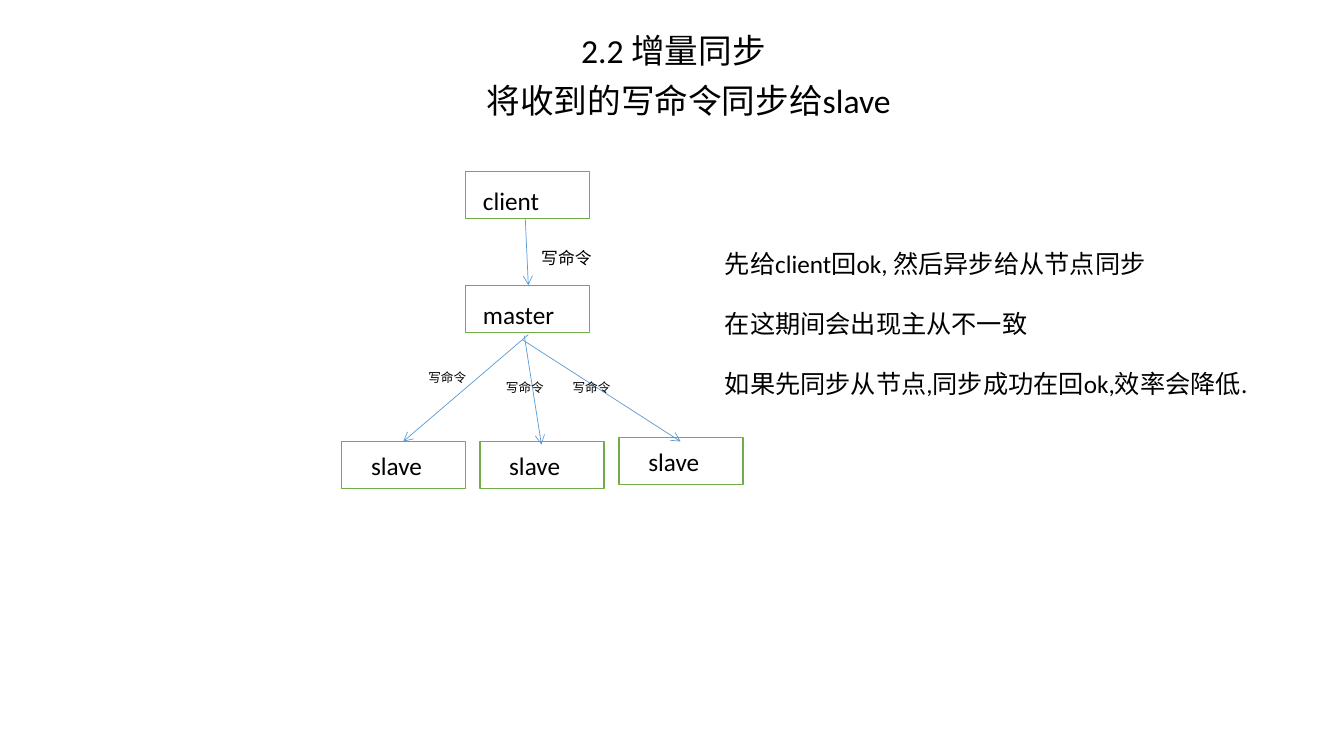
from pptx import Presentation
from pptx.dml.color import RGBColor
from pptx.enum import shapes, text
from pptx.oxml import ns
from pptx.util import Inches, Pt
from lxml import etree

BLACK = RGBColor(0, 0, 0)
WHITE = RGBColor(255, 255, 255)
GREEN = RGBColor(0x70, 0xAD, 0x47)
BLUE = RGBColor(0x5B, 0x9B, 0xD5)
FONT = "Calibri"
BOX_W, BOX_H = 1.23, 0.47

HEADS = [("2.2 增量同步", 0.3), ("将收到的写命令同步给slave", 0.6)]
NODES = [
    ("client", 4.62, 1.7, 0.17, 0.1),
    ("master", 4.62, 2.83, 0.17, 0.1),
    ("slave", 3.39, 4.38, 0.29, 0),
    ("slave", 4.76, 4.38, 0.29, 0),
    ("slave", 6.14, 4.34, 0.29, 0),
]
ARROWS = [
    (5.21, 2.17, 5.24, 2.83),
    (5.24, 3.32, 4, 4.38),
    (5.2, 3.33, 5.37, 4.41),
    (5.18, 3.37, 6.75, 4.38),
]
LABEL = "写命令"
LABELS = [
    (5.27, 2.41, 0.87, 0.3, 12),
    (4.15, 3.62, 0.61, 0.25, 9),
    (4.92, 3.72, 0.61, 0.25, 9),
    (5.58, 3.72, 0.61, 0.25, 9),
]
NOTES = [
    "先给client回ok, 然后异步给从节点同步",
    "在这期间会出现主从不一致",
    "如果先同步从节点,同步成功在回ok,效率会降低.",
]


def style(para, size):
    para.font.name = FONT
    para.font.size = Pt(size)
    para.font.color.rgb = BLACK


def fill_text(frame, lines, size, gap=0):
    frame.word_wrap = True
    for i, line in enumerate(lines):
        para = frame.add_paragraph() if i else frame.paragraphs[0]
        para.text = line
        para.alignment = text.PP_ALIGN.LEFT
        para.space_after = Pt(gap)
        style(para, size)


def add_text(slide, x, y, w, h, lines, size, gap=0):
    box = slide.shapes.add_textbox(*map(Inches, (x, y, w, h)))
    fill_text(box.text_frame, lines, size, gap)


def add_head(slide):
    body = slide.placeholders[1]
    body.left, body.top, body.width, body.height = map(Inches, (1.53, 0.29, 10, 1.81))
    frame = body.text_frame
    fill_text(frame, [line for line, _ in HEADS], 24)
    for para, (_, shift) in zip(frame.paragraphs, HEADS):
        para.alignment = text.PP_ALIGN.CENTER
        para.line_spacing = 0.9
        para.space_before = Pt(10)
        props = para._p.get_or_add_pPr()
        props.set("marL", str(Inches(shift)))
        props.set("indent", "0")
        etree.SubElement(props, ns.qn("a:buNone"))


def add_node(slide, name, x, y, inset, drop):
    box = slide.shapes.add_shape(
        shapes.MSO_SHAPE.RECTANGLE, *map(Inches, (x, y, BOX_W, BOX_H)))
    box.shadow.inherit = False
    box.fill.solid()
    box.fill.fore_color.rgb = WHITE
    box.line.color.rgb = GREEN
    box.line.width = Pt(1)
    frame = box.text_frame
    frame.margin_left, frame.margin_top = Inches(inset), Inches(drop)
    frame.margin_right = frame.margin_bottom = 0
    frame.vertical_anchor = text.MSO_ANCHOR.MIDDLE
    fill_text(frame, [name], 18)


def add_arrow(slide, *ends):
    arrow = slide.shapes.add_connector(
        shapes.MSO_CONNECTOR.STRAIGHT, *map(Inches, ends))
    arrow.line.color.rgb = BLUE
    arrow.line.width = Pt(0.5)
    line = arrow.line._get_or_add_ln()
    etree.SubElement(line, ns.qn("a:tailEnd"), type="arrow")
    etree.SubElement(arrow._element.spPr, ns.qn("a:effectLst"))


def main():
    deck = Presentation()
    deck.slide_width, deck.slide_height = Inches(13.33), Inches(7.5)
    slide = deck.slides.add_slide(deck.slide_layouts[1])
    title = slide.shapes.title._element
    title.getparent().remove(title)
    for node in NODES:
        add_node(slide, *node)
    for ends in ARROWS:
        add_arrow(slide, *ends)
    for x, y, w, h, size in LABELS:
        add_text(slide, x, y, w, h, [LABEL], size)
    add_head(slide)
    add_text(slide, 7.09, 2.41, 5.65, 1.61, NOTES, 18, 21.5)
    deck.save("out.pptx")


if __name__ == "__main__":
    main()
